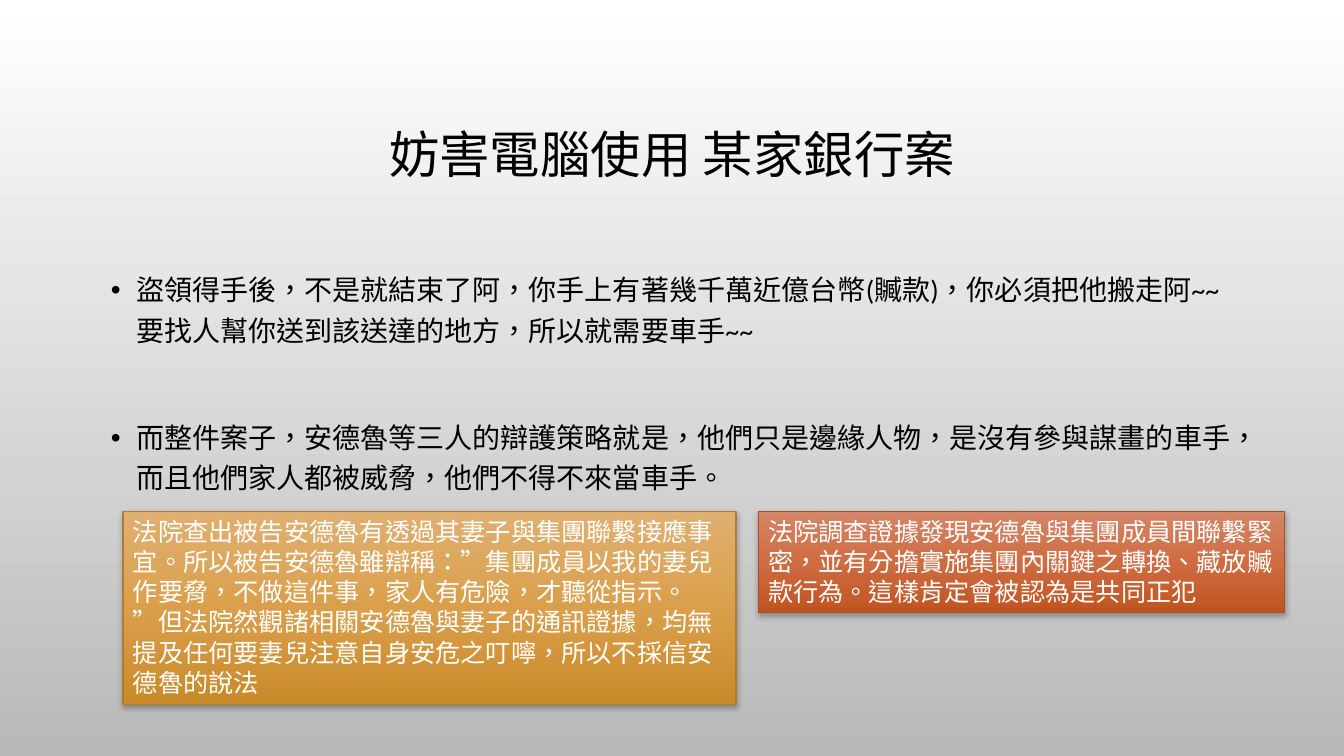
import copy

import pptx
import pptx.dml.color
import pptx.enum.lang
import pptx.enum.shapes
import pptx.enum.text
import pptx.oxml
import pptx.oxml.ns
import pptx.util

Inches = pptx.util.Inches
Pt = pptx.util.Pt
RGBColor = pptx.dml.color.RGBColor

FONT = "Calibri"
BLACK = RGBColor(0x00, 0x00, 0x00)
WHITE = RGBColor(0xFF, 0xFF, 0xFF)
PAGE_GREY = RGBColor(0xB9, 0xB9, 0xB9)
GOLD = [RGBColor(0xE0, 0xB0, 0x71), RGBColor(0xDA, 0x9F, 0x4B), RGBColor(0xC9, 0x8A, 0x29)]
GOLD_LINE = RGBColor(0xAE, 0x7D, 0x32)
RUST = [RGBColor(0xD6, 0x86, 0x69), RGBColor(0xCF, 0x6C, 0x42), RGBColor(0xC0, 0x54, 0x1F)]
RUST_LINE = RGBColor(0xA5, 0x52, 0x29)

TITLE = "妨害電腦使用 某家銀行案"
POINTS = [
    "盜領得手後，不是就結束了阿，你手上有著幾千萬近億台幣(贓款)，你必須把他搬走阿"
    "~~要找人幫你送到該送達的地方，所以就需要車手~~",
    "而整件案子，安德魯等三人的辯護策略就是，他們只是邊緣人物，是沒有參與謀畫的車手，"
    "而且他們家人都被威脅，他們不得不來當車手。",
]
WIFE_FINDING = (
    "法院查出被告安德魯有透過其妻子與集團聯繫接應事宜。所以被告安德魯雖辯稱：”集團成員以我的妻兒"
    "作要脅，不做這件事，家人有危險，才聽從指示。”但法院然觀諸相關安德魯與妻子的通訊證據，均無"
    "提及任何要妻兒注意自身安危之叮嚀，所以不採信安德魯的說法"
)
GROUP_FINDING = (
    "法院調查證據發現安德魯與集團成員間聯繫緊密，並有分擔實施集團內關鍵之轉換、藏放贓款行為。"
    "這樣肯定會被認為是共同正犯"
)


def place(shape, box):
    shape.left, shape.top, shape.width, shape.height = (Inches(length) for length in box)


def write(para, text, size, color):
    span = para.add_run()
    span.text = text
    span.font.language_id = pptx.enum.lang.MSO_LANGUAGE_ID.TRADITIONAL_CHINESE
    para.font.name = FONT
    para.font.size = Pt(size)
    para.font.color.rgb = color


def fill_gradient(fill, colors):
    """Run a two-stop gradient from top to bottom."""
    fill.gradient()
    fill.gradient_angle = 270
    for stop, position, color in zip(fill.gradient_stops, (0, 1), colors):
        stop.position = position
        stop.color.rgb = color


def add_middle_stop(shape, color):
    first = shape._element.xpath(".//a:gsLst/a:gs")[0]
    first.addnext(copy.deepcopy(first))
    middle = shape.fill.gradient_stops[1]
    middle.position = 0.5
    middle.color.rgb = color


def add_soft_shadow(shape):
    shape.shadow.inherit = False
    shape._element.xpath("./p:spPr/a:effectLst")[0].append(pptx.oxml.parse_xml(
        f'<a:outerShdw {pptx.oxml.ns.nsdecls("a")} blurRad="{Pt(4)}" dist="{Pt(2)}" '
        'dir="5400000" rotWithShape="0"><a:srgbClr val="000000">'
        '<a:alpha val="28000"/></a:srgbClr></a:outerShdw>'))


def add_bullet(para):
    properties = para._p.get_or_add_pPr()
    properties.set("marL", str(Inches(0.25)))
    properties.set("indent", str(Inches(-0.25)))
    namespace = pptx.oxml.ns.nsdecls("a")
    for element in (f'<a:buClr {namespace}><a:srgbClr val="{BLACK}"/></a:buClr>',
                    f'<a:buFont {namespace} typeface="Arial"/>',
                    f'<a:buChar {namespace} char="•"/>'):
        properties.append(pptx.oxml.parse_xml(element))


def fill_title(title, box):
    place(title, box)
    frame = title.text_frame
    frame.auto_size = pptx.enum.text.MSO_AUTO_SIZE.NONE
    frame.vertical_anchor = pptx.enum.text.MSO_ANCHOR.MIDDLE
    para = frame.paragraphs[0]
    para.alignment = pptx.enum.text.PP_ALIGN.CENTER
    para.line_spacing = 0.9
    write(para, TITLE, 36, BLACK)


def fill_points(body, box):
    place(body, box)
    frame = body.text_frame
    frame.auto_size = pptx.enum.text.MSO_AUTO_SIZE.NONE
    for index, text in enumerate(POINTS):
        para = frame.add_paragraph() if index else frame.paragraphs[0]
        add_bullet(para)
        para.line_spacing = 1.2
        para.space_before = Pt(48 if index else 0)
        write(para, text, 20, BLACK)


def add_finding(page, box, text, colors, line_color):
    panel = page.shapes.add_shape(
        pptx.enum.shapes.MSO_SHAPE.RECTANGLE, *(Inches(length) for length in box))
    fill_gradient(panel.fill, (colors[0], colors[-1]))
    add_middle_stop(panel, colors[1])
    panel.line.color.rgb = line_color
    panel.line.width = Pt(0.75)
    add_soft_shadow(panel)
    frame = panel.text_frame
    frame.word_wrap = True
    frame.auto_size = pptx.enum.text.MSO_AUTO_SIZE.SHAPE_TO_FIT_TEXT
    frame.vertical_anchor = pptx.enum.text.MSO_ANCHOR.TOP
    para = frame.paragraphs[0]
    para.alignment = pptx.enum.text.PP_ALIGN.LEFT
    write(para, text, 18, WHITE)


def main():
    deck = pptx.Presentation()
    deck.slide_width, deck.slide_height = Inches(13.33), Inches(7.5)
    page = deck.slides.add_slide(deck.slide_layouts[1])
    fill_gradient(page.background.fill, (WHITE, PAGE_GREY))
    fill_title(page.shapes.title, (1, 0.68, 11.33, 1.75))
    fill_points(page.placeholders[1], (1, 2.59, 11.33, 3.74))
    add_finding(page, (1.22, 5.07, 6.08, 1.92), WIFE_FINDING, GOLD, GOLD_LINE)
    add_finding(page, (7.52, 5.07, 5.22, 1.01), GROUP_FINDING, RUST, RUST_LINE)
    deck.save("out.pptx")


if __name__ == "__main__":
    main()
